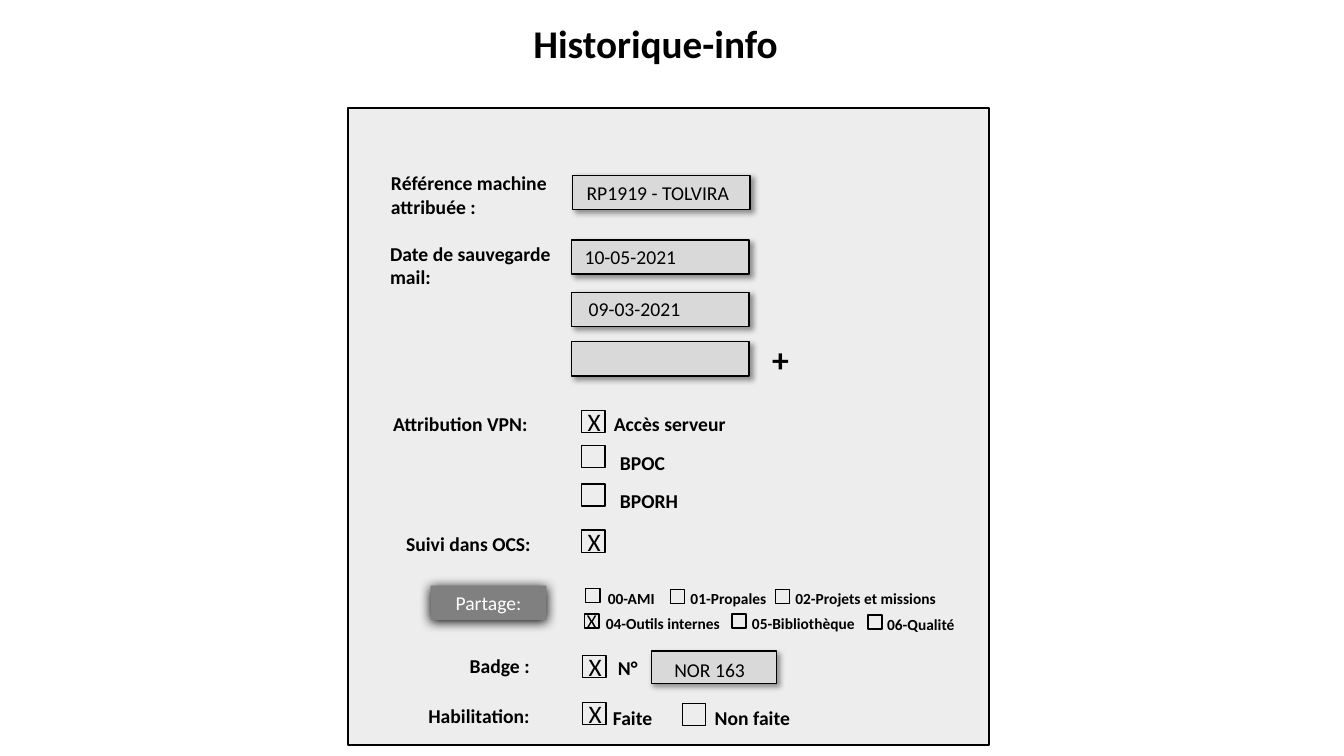
import pptx
import pptx.util
import pptx.dml.color
import pptx.enum.shapes
import pptx.enum.text
import pptx.oxml
import pptx.oxml.ns

Inches = pptx.util.Inches
RGBColor = pptx.dml.color.RGBColor

BLACK = RGBColor(0x00, 0x00, 0x00)
WHITE = RGBColor(0xFF, 0xFF, 0xFF)
PANEL_GREY = RGBColor(0xED, 0xED, 0xED)
FIELD_GREY = RGBColor(0xD9, 0xD9, 0xD9)
BUTTON_GREY = RGBColor(0x80, 0x80, 0x80)

FONT = "Calibri"
LINE_HEIGHT = 0.34
BOX_WIDTH, BOX_HEIGHT = 0.23, 0.22
SMALL_BOX = 0.14


def write_text(shape, text, size=14, bold=False, color=BLACK, align="LEFT", anchor="TOP"):
    frame = shape.text_frame
    frame.word_wrap = True
    frame.auto_size = pptx.enum.text.MSO_AUTO_SIZE.NONE
    frame.vertical_anchor = getattr(pptx.enum.text.MSO_ANCHOR, anchor)
    frame.margin_left = frame.margin_right = Inches(0.1)
    frame.margin_top = frame.margin_bottom = Inches(0.05)
    paragraph = frame.paragraphs[0]
    paragraph.alignment = getattr(pptx.enum.text.PP_ALIGN, align)
    run = paragraph.add_run()
    run.text = text
    run.font.name = FONT
    run.font.size = pptx.util.Pt(size)
    run.font.bold = bold
    run.font.color.rgb = color


def add_text(slide, left, top, width, height, text, **text_format):
    shape = slide.shapes.add_textbox(Inches(left), Inches(top), Inches(width), Inches(height))
    write_text(shape, text, **text_format)


def add_rectangle(slide, left, top, width, height, fill=None, line=BLACK):
    shape = slide.shapes.add_shape(
        pptx.enum.shapes.MSO_SHAPE.RECTANGLE,
        Inches(left), Inches(top), Inches(width), Inches(height))
    shape.shadow.inherit = False
    if fill is None:
        shape.fill.background()
    else:
        shape.fill.solid()
        shape.fill.fore_color.rgb = fill
    if line is None:
        shape.line.fill.background()
    else:
        shape.line.color.rgb = line
        shape.line.width = pptx.util.Pt(1)
    return shape


def add_shadow(shape, opacity, blur, distance, angle):
    effects = shape._element.spPr.find(pptx.oxml.ns.qn("a:effectLst"))
    effects.append(pptx.oxml.parse_xml(
        f'<a:outerShdw {pptx.oxml.ns.nsdecls("a")} blurRad="{pptx.util.Pt(blur)}" '
        f'dist="{pptx.util.Pt(distance)}" dir="{angle * 60000}" algn="tl" rotWithShape="0">'
        f'<a:srgbClr val="{BLACK}"><a:alpha val="{opacity * 1000}"/></a:srgbClr>'
        '</a:outerShdw>'))


def add_field(slide, left, top, value="", indent=0.03, drop=0, width=1.76, height=0.34):
    shape = add_rectangle(slide, left, top, width, height, fill=FIELD_GREY)
    add_shadow(shape, opacity=40, blur=4, distance=3, angle=45)
    if value:
        add_text(slide, left + indent, top + drop, 1.77, LINE_HEIGHT, value)


def add_checkbox(slide, left, top, label="", gap=0.22, rise=0.03, width=1.44, checked=False):
    add_rectangle(slide, left, top, BOX_WIDTH, BOX_HEIGHT)
    if checked:
        add_text(slide, left - 0.04, top - 0.09, 0.48, 0.4, "X", size=18)
    if label:
        add_text(slide, left + gap, top - rise, width, LINE_HEIGHT, label, bold=True)


def add_small_checkbox(slide, left, top, label, gap=0.1, checked=False):
    add_rectangle(slide, left, top, SMALL_BOX, SMALL_BOX)
    if checked:
        add_text(slide, left - 0.08, top - 0.1, 0.33, LINE_HEIGHT, "X")
    add_text(slide, left + gap, top - 0.05, 1.72, 0.29, label, size=11, bold=True)


def add_title(slide, left, top, width, height):
    title = slide.shapes.title
    title.left, title.top = Inches(left), Inches(top)
    title.width, title.height = Inches(width), Inches(height)
    write_text(title, "Historique-info", size=28, bold=True)
    title.text_frame.paragraphs[0].line_spacing = 1.0


def add_machine(slide, left, top):
    add_text(slide, left, top, 2.03, 0.57, "Référence machine attribuée :", bold=True)
    add_field(slide, left + 1.9, top + 0.09, "RP1919 - TOLVIRA", indent=0.04, drop=0.01)


def add_mail_backups(slide, left, top):
    add_text(slide, left, top, 1.85, 0.57, "Date de sauvegarde mail:", bold=True)
    field_left = left + 1.9
    for offset, value, indent in [(0.03, "10-05-2021", 0.03), (0.55, "09-03-2021", 0.07),
                                  (1.04, "", 0)]:
        add_field(slide, field_left, top + offset, value, indent=indent)
    add_text(slide, field_left + 1.89, top + 0.96, 0.46, 0.5, "+", size=24, bold=True)


def add_vpn(slide, left, top):
    add_text(slide, left, top, 2.03, LINE_HEIGHT, "Attribution VPN:", bold=True)
    box_left = left + 1.97
    add_checkbox(slide, box_left, top + 0.03, "Accès serveur", checked=True)
    for offset, label in [(0.38, "BPOC"), (0.76, "BPORH")]:
        add_checkbox(slide, box_left, top + offset, label, gap=0.28, rise=0)


def add_ocs(slide, left, top):
    add_text(slide, left, top, 2.03, LINE_HEIGHT, "Suivi dans OCS:", bold=True)
    add_checkbox(slide, left + 1.84, top + 0.03, checked=True)


def add_sharing(slide, left, top):
    button = add_rectangle(slide, left, top, 1.15, LINE_HEIGHT, fill=BUTTON_GREY, line=None)
    add_shadow(button, opacity=100, blur=8.5, distance=1, angle=90)
    write_text(button, "Partage:", color=WHITE, align="CENTER", anchor="MIDDLE")
    # Shared folders: offset from the button, label, label gap, ticked
    for across, down, label, gap, checked in [
            (1.54, 0.03, "00-AMI", 0.12, False),
            (2.38, 0.04, "01-Propales", 0.1, False),
            (3.42, 0.04, "02-Projets et missions", 0.1, False),
            (1.53, 0.28, "04-Outils internes", 0.11, True),
            (2.99, 0.28, "05-Bibliothèque", 0.1, False),
            (4.34, 0.29, "06-Qualité", 0.09, False)]:
        add_small_checkbox(slide, left + across, top + down, label, gap, checked)


def add_badge(slide, left, top):
    add_text(slide, left, top, 1.26, LINE_HEIGHT, "Badge :", bold=True)
    add_checkbox(slide, left + 1.22, top + 0.06, "N°", gap=0.25, rise=0.04, width=0.69,
                 checked=True)
    add_field(slide, left + 1.9, top + 0.02, "NOR 163", indent=0.13, drop=0.02,
              width=1.24, height=0.32)


def add_clearance(slide, left, top):
    add_text(slide, left, top, 1.52, LINE_HEIGHT, "Habilitation:", bold=True)
    add_checkbox(slide, left + 1.63, top + 0.04, "Faite", gap=0.2, rise=0.02, width=0.76,
                 checked=True)
    add_checkbox(slide, left + 2.62, top + 0.05, "Non faite")


def add_form(slide, left, top, width, height):
    add_rectangle(slide, left, top, width, height, fill=PANEL_GREY)
    for add_region, across, down in [
            (add_machine, 0.33, 0.58),
            (add_mail_backups, 0.32, 1.28),
            (add_vpn, 0.35, 2.97),
            (add_ocs, 0.48, 4.16),
            (add_sharing, 0.82, 4.74),
            (add_badge, 1.11, 5.37),
            (add_clearance, 0.7, 5.86)]:
        add_region(slide, left + across, top + down)


def main():
    presentation = pptx.Presentation()
    presentation.slide_width, presentation.slide_height = Inches(13.33), Inches(7.5)
    slide = presentation.slides.add_slide(presentation.slide_layouts.get_by_name("Title Only"))
    add_title(slide, 5.19, 0.14, 3.63, 0.57)
    add_form(slide, 3.45, 1.07, 6.36, 6.32)
    presentation.save("out.pptx")


if __name__ == "__main__":
    main()
